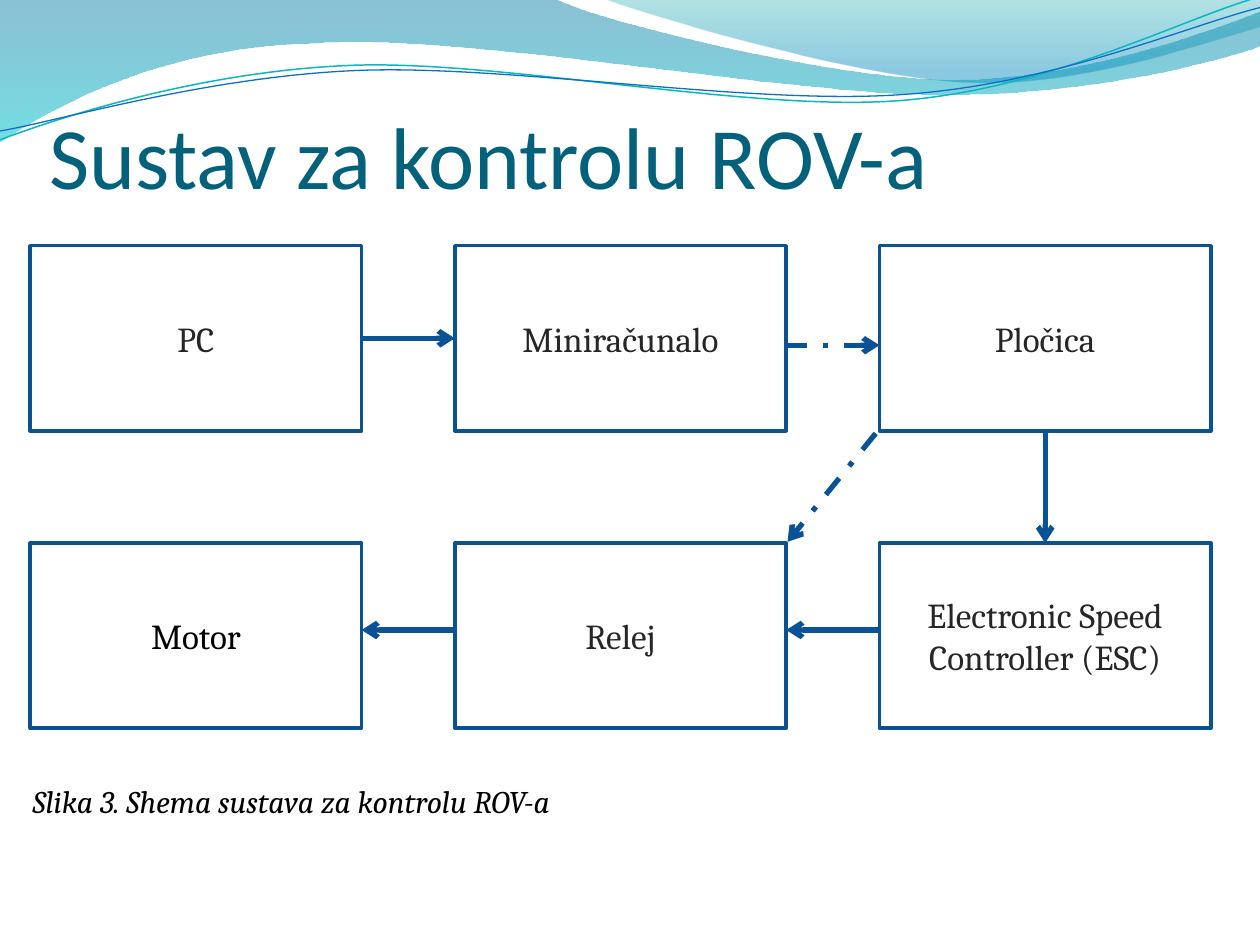
from lxml.etree import SubElement
from pptx import Presentation
from pptx.dml.color import RGBColor
from pptx.enum.dml import MSO_LINE
from pptx.enum.shapes import MSO_CONNECTOR, MSO_SHAPE
from pptx.enum.text import MSO_ANCHOR, PP_ALIGN
from pptx.oxml.ns import qn
from pptx.util import Inches, Pt

TITLE = "Sustav za kontrolu ROV-a"
CAPTION = "Slika 3. Shema sustava za kontrolu ROV-a"
GRID = [
    [("PC", "262626"), ("Miniračunalo", "262626"), ("Pločica", "262626")],
    [("Motor", "000000"), ("Relej", "262626"),
     ("Electronic Speed Controller (ESC)", "262626")],
]
LEFT, TOP, WIDE, HIGH = 0.24, 1.95, 2.63, 1.47
STEP_X, STEP_Y = 3.37, 2.36

# Joined arrows: (row, column, side) at each end
JOINED = [((0, 0, 3), (0, 1, 1)), ((0, 2, 2), (1, 2, 0))]
# Loose arrows: start, end, dashed
LOOSE = [
    ((6.24, 2.74), (6.98, 2.74), True),
    ((3.61, 5), (2.87, 5), False),
    ((6.98, 5), (6.24, 5), False),
    ((6.95, 3.44), (6.25, 4.3), True),
]

# Outlines: a pair is a straight step, six numbers are a Bezier step
BANDS = [
    ([(0, 0), (4.4, -0.01), (4.76, 0.17, 6.64, 0.63, 7.58, 0.63),
      (8.53, 0.63, 9.58, 0.26, 10, 0.09), (10.01, 0.36),
      (9.83, 0.44, 8.7, 0.76, 7.46, 0.75), (6.22, 0.75, 3.82, 0.28, 2.57, 0.34),
      (1.29, 0.36, 0.46, 0.83, -0.01, 1.13), (0, 0)],
     [(0, "0074A1", 45), (1, "00C6CF", 55)]),
    ([(4.79, -0.01), (5.09, 0.11, 6.82, 0.62, 7.69, 0.65),
      (8.56, 0.69, 9.61, 0.32, 10, 0.21), (10, 0), (4.79, -0.01)],
     [(0, "00A1A9", 30), (0.8, "008BBF", 45)]),
]
WAVES = [
    ([(0, 1.11), (0.48, 0.93, 1.58, 0.57, 2.77, 0.52),
      (3.95, 0.47, 5.93, 0.89, 7.13, 0.8), (8.33, 0.71, 9.38, 0.15, 9.98, -0.02)],
     "0AB8BF", 0.85),
    ([(0, 1.04), (0.47, 0.96, 1.64, 0.61, 2.83, 0.56),
      (4.03, 0.51, 5.97, 0.84, 7.17, 0.75), (8.36, 0.67, 9.41, 0.21, 10, 0.06)],
     "0F6FC6", 0.75),
]

deck = Presentation()
deck.slide_width, deck.slide_height = Inches(10), Inches(7.5)
slide = deck.slides.add_slide(deck.slide_layouts[6])
shapes = slide.shapes


def rgb(code):
    return RGBColor.from_string(code)


def outline(steps, close):
    """Draw the steps as a freeform whose Bezier steps are true curves."""
    points = [(Inches(s[i]), Inches(s[i + 1]))
              for s in steps for i in range(0, len(s), 2)]
    pen = shapes.build_freeform(*points[0])
    pen.add_line_segments(points[1:], close=close)
    shape = pen.convert_to_shape()
    shape.shadow.inherit = False
    lines = iter(list(shape._element.spPr.iter(qn("a:lnTo"))))
    for step in steps[1:]:
        first = next(lines)
        if len(step) == 6:
            first.tag = qn("a:cubicBezTo")
            for line in (next(lines), next(lines)):
                first.append(line[0])
                line.getparent().remove(line)
    return shape


def band(steps, stops):
    shape = outline(steps, True)
    shape.line.fill.background()
    shape.fill.gradient()
    shape.fill.gradient_angle = 270
    for stop, (place, code, alpha) in zip(shape.fill.gradient_stops, stops):
        stop.position = place
        stop.color.rgb = rgb(code)
    colors = list(shape._element.spPr.iter(qn("a:srgbClr")))
    for color, (place, code, alpha) in zip(colors, stops):
        SubElement(color, qn("a:alpha"), val=str(alpha * 1000))


def wave(steps, code, width):
    shape = outline(steps, False)
    shape.fill.background()
    shape.line.color.rgb = rgb(code)
    shape.line.width = Pt(width)


def write(shape, text, font, size, code):
    frame = shape.text_frame
    frame.word_wrap = True
    para = frame.paragraphs[0]
    para.text = text
    para.font.name, para.font.size = font, Pt(size)
    para.font.color.rgb = rgb(code)
    return frame, para


def box(row, col, text, code):
    shape = shapes.add_shape(
        MSO_SHAPE.RECTANGLE, Inches(LEFT + col * STEP_X),
        Inches(TOP + row * STEP_Y), Inches(WIDE), Inches(HIGH))
    shape.shadow.inherit = False
    shape.fill.solid()
    shape.fill.fore_color.rgb = rgb("FFFFFF")
    shape.line.color.rgb = rgb("0B5292")
    shape.line.width = Pt(2)
    frame, para = write(shape, text, "Cambria", 20, code)
    frame.vertical_anchor = MSO_ANCHOR.MIDDLE
    para.alignment = PP_ALIGN.CENTER
    return shape


def arrow(start=(0, 0), end=(0, 0), dashed=False):
    line = shapes.add_connector(MSO_CONNECTOR.STRAIGHT,
                                *[Inches(v) for v in (*start, *end)])
    line.line.color.rgb = rgb("095295")
    line.line.width = Pt(3)
    if dashed:
        line.line.dash_style = MSO_LINE.DASH_DOT
    SubElement(line.line._get_or_add_ln(), qn("a:tailEnd"), type="arrow")
    SubElement(line._element.spPr, qn("a:effectLst"))
    return line


def label(left, top, wide, high):
    return shapes.add_textbox(*[Inches(v) for v in (left, top, wide, high)])


for item in BANDS:
    band(*item)
for item in WAVES:
    wave(*item)

frame, para = write(label(0.39, 0.39, 9, 1.25), TITLE, "Calibri", 50, "04617B")
frame.vertical_anchor = MSO_ANCHOR.BOTTOM
frame.margin_left = frame.margin_right = frame.margin_bottom = 0

boxes = [[box(r, c, *cell) for c, cell in enumerate(row)]
         for r, row in enumerate(GRID)]
for (r1, c1, side1), (r2, c2, side2) in JOINED:
    line = arrow()
    line.begin_connect(boxes[r1][c1], side1)
    line.end_connect(boxes[r2][c2], side2)
for item in LOOSE:
    arrow(*item)

frame, para = write(label(0.16, 6.16, 6.02, 0.4), CAPTION, "Cambria", 18, "000000")
para.font.italic = True

deck.save("out.pptx")
